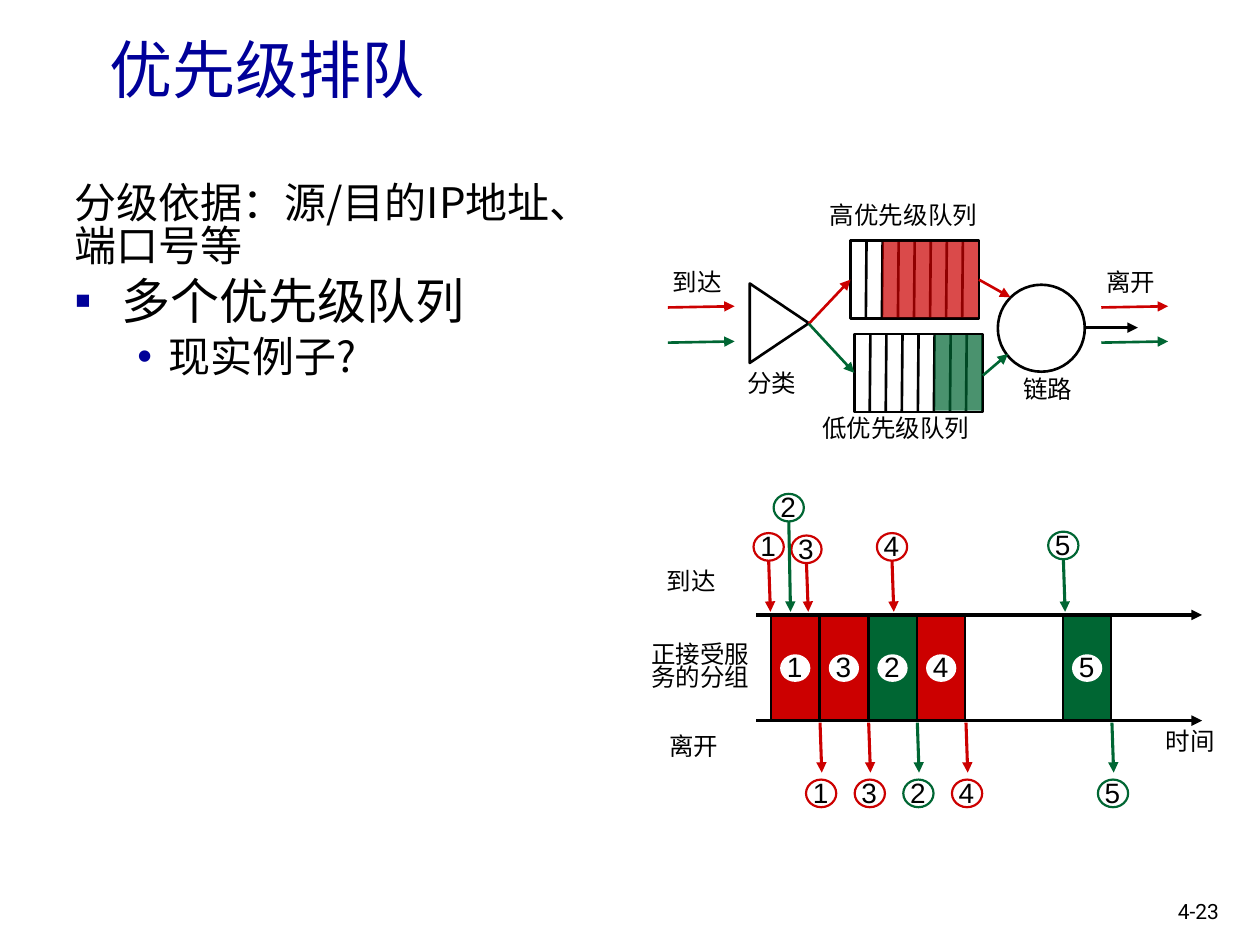
import pptx
import pptx.dml.color
import pptx.enum.shapes
import pptx.enum.text
import pptx.oxml
import pptx.oxml.ns
import pptx.util

Pt = pptx.util.Pt
RGB = pptx.dml.color.RGBColor
Kind = pptx.enum.shapes.MSO_SHAPE
Align = pptx.enum.text.PP_ALIGN
Fit = pptx.enum.text.MSO_AUTO_SIZE
qn = pptx.oxml.ns.qn

RED = RGB(0xCC, 0x00, 0x00)
GREEN = RGB(0x00, 0x66, 0x33)
BLUE = RGB(0x00, 0x00, 0x99)
BLACK = RGB(0x00, 0x00, 0x00)
WHITE = RGB(0xFF, 0xFF, 0xFF)
HAN, NUM = "Noto Sans CJK SC", "Arial"

# Content
TITLE = "优先级排队"
# text, size, bullet, left margin, hanging indent, space before
BODY = [
    ("分级依据：源/目的IP地址、端口号等", 24, None, 0, 0, 0),
    ("多个优先级队列", 28, "▪", 27, 27, 5.6),
    ("现实例子?", 24, "•", 54, 18, 4.8),
]
# left, top, first filled cell, colour
QUEUES = [(488.2, 190.8, 5, GREEN), (486, 137.5, 2, RED)]
# text, left, top, width
NAMES = [
    ("高优先级队列", 466.6, 110.9, 99.4),
    ("低优先级队列", 462.2, 232.6, 99.4),
    ("到达", 377.3, 149, 42.5),
    ("分类", 419.8, 206.6, 42.5),
    ("离开", 625, 149, 42.5),
    ("链路", 577.4, 210.2, 42.5),
    ("到达", 373.7, 319.7, 42.5),
    ("离开", 375.1, 414, 42.5),
    ("时间", 658.8, 411.1, 42.5),
]
# x1, y1, x2, y2, colour, width
FLOWS = [
    (462.2, 185, 486, 159.8, RED, 1.5),
    (462.2, 185, 488.2, 213.1, GREEN, 1.5),
    (559.4, 159.8, 577.4, 169.9, RED, 1.5),
    (561.6, 214.6, 576, 202.3, GREEN, 1.5),
    (619.2, 187.2, 650.2, 187.2, BLACK, 1.5),
    (432, 351.4, 686.9, 351.4, BLACK, 2),
    (432, 411.8, 686.9, 411.8, BLACK, 2),
]
for x in (381.6, 629.3):
    FLOWS += [(x, 175.7, x + 38.2, 175, RED, 1.5),
              (x, 195.8, x + 38.2, 195.1, GREEN, 1.5)]
# packet, colour, time slot, left and top of its arrival mark
PACKETS = [
    ("1", RED, 0, 430.6, 304.6),
    ("3", RED, 1, 452.2, 306),
    ("2", GREEN, 2, 442.1, 282.2),
    ("4", RED, 3, 501.1, 304.6),
    ("5", GREEN, 6, 599, 303.8),
]
CELL, ROWS = 73.4 / 8, 44.6
START, STEP = 440.8, 27.8
DOT_W, DOT_H = 17.3, 15.8

deck = pptx.Presentation()
deck.slide_width, deck.slide_height = Pt(720), Pt(540)
slide = deck.slides.add_slide(deck.slide_layouts[1])
shapes = slide.shapes


def style(para, size, color=BLACK, face=HAN):
    font = para.font
    font.size, font.name = Pt(size), face
    font.color.rgb = color
    east = para._p.pPr.find(qn("a:defRPr"))
    pptx.oxml.ns  # namespace helpers
    node = east.makeelement(qn("a:ea"), {"typeface": face})
    east.find(qn("a:latin")).addnext(node)


def place(shape, x, y, w, h):
    shape.left, shape.top, shape.width, shape.height = map(Pt, (x, y, w, h))


def form(kind, x, y, w, h, fill=None, line=None, width=1.5, alpha=None):
    shape = shapes.add_shape(kind, *map(Pt, (x, y, w, h)))
    shape.shadow.inherit = False
    if fill is None:
        shape.fill.background()
    else:
        shape.fill.solid()
        shape.fill.fore_color.rgb = fill
    if alpha:
        tone = shape._element.spPr.find(".//" + qn("a:srgbClr"))
        tone.append(tone.makeelement(qn("a:alpha"), {"val": str(alpha * 1000)}))
    if line is None:
        shape.line.fill.background()
    else:
        shape.line.color.rgb = line
        shape.line.width = Pt(width)
    return shape


def rule(x1, y1, x2, y2, color=BLACK, width=1.5, head=True):
    link = shapes.add_connector(pptx.enum.shapes.MSO_CONNECTOR.STRAIGHT,
                                *map(Pt, (x1, y1, x2, y2)))
    link.line.color.rgb = color
    link.line.width = Pt(width)
    prop = link._element.spPr
    if head:
        edge = prop.find(qn("a:ln"))
        edge.append(edge.makeelement(qn("a:tailEnd"), {"type": "triangle"}))
    prop.append(prop.makeelement(qn("a:effectLst"), {}))


def label(text, x, y, w, h, size=14, face=HAN, align=Align.LEFT, wrap=False):
    box = shapes.add_textbox(*map(Pt, (x, y, w, h)))
    box.text_frame.word_wrap = wrap
    para = box.text_frame.paragraphs[0]
    para.text, para.alignment = text, align
    style(para, size, face=face)
    return para


def badge(text, x, y, line=None):
    form(Kind.OVAL, x, y, DOT_W, DOT_H, WHITE, line, 1.25)
    label(text, x - 3.2, y - 6, 23.8, 26.6, 16, NUM)


# Title and list
head = shapes.title
place(head, 55.4, -5.8, 612, 90)
head.text_frame.vertical_anchor = pptx.enum.text.MSO_ANCHOR.MIDDLE
para = head.text_frame.paragraphs[0]
para.text, para.alignment = TITLE, Align.LEFT
style(para, 36, BLUE)

body = slide.placeholders[1]
place(body, 35.3, 101.5, 320.4, 401.8)
frame = body.text_frame
frame.auto_size = Fit.NONE
for i, (text, size, mark, left, hang, gap) in enumerate(BODY):
    para = frame.add_paragraph() if i else frame.paragraphs[0]
    para.text = text
    para.line_spacing, para.space_before = 0.85, Pt(gap)
    prop = para._p.get_or_add_pPr()
    prop.set("marL", str(Pt(left)))
    prop.set("indent", str(-Pt(hang)))
    if mark:
        tint = prop.makeelement(qn("a:buClr"), {})
        tint.append(tint.makeelement(qn("a:srgbClr"), {"val": str(BLUE)}))
        prop.append(tint)
        prop.append(prop.makeelement(qn("a:buFont"), {"typeface": NUM}))
        prop.append(prop.makeelement(qn("a:buChar"), {"char": mark}))
    else:
        prop.append(prop.makeelement(qn("a:buNone"), {}))
    style(para, size)

# Queues with their filled cells
for x, y, first, color in QUEUES:
    form(Kind.RECTANGLE, x, y, 8 * CELL, ROWS, line=BLACK)
    for n in range(1, 8):
        rule(x + n * CELL, y + 0.5, x + n * CELL - 0.4, y + ROWS, head=False)
    form(Kind.RECTANGLE, x + first * CELL, y + 0.7, (8 - first) * CELL - 0.5,
         43.2, color, alpha=71)

# Classifier, link, arrows and names
form(Kind.ISOSCELES_TRIANGLE, 422.6, 167.8, 45.4, 33.8, line=BLACK).rotation = 90
form(Kind.OVAL, 570.2, 162.7, 49.7, 49.7, line=BLACK)
for flow in FLOWS:
    rule(*flow)
for text, x, y, w in NAMES:
    label(text, x, y, w, 24.5, align=Align.CENTER)
para = label("正接受服务的分组", 360.7, 365.8, 79.2, 33.8,
             align=Align.CENTER, wrap=True)
para.line_spacing = Pt(12.8)

# Packets: arrival, service and departure
for text, color, slot, x, y in PACKETS:
    left = START + slot * STEP
    end = left + STEP
    mid = x + DOT_W / 2
    form(Kind.RECTANGLE, left, 352, 27.4, 59.4, color, BLACK, 1.25)
    badge(text, left + 5, 373.9)
    rule(mid, y + DOT_H, mid + 1, 349.6, color, 1.75)
    badge(text, x, y, color)
    rule(end, 412.9, end + 1, 441.5, color, 1.75)
    badge(text, end - 8, 445.5, color)

# Page number
label("4-23", 666, 509.8, 43.9, 21.6, 12, "Roboto", wrap=True)

deck.save("out.pptx")
